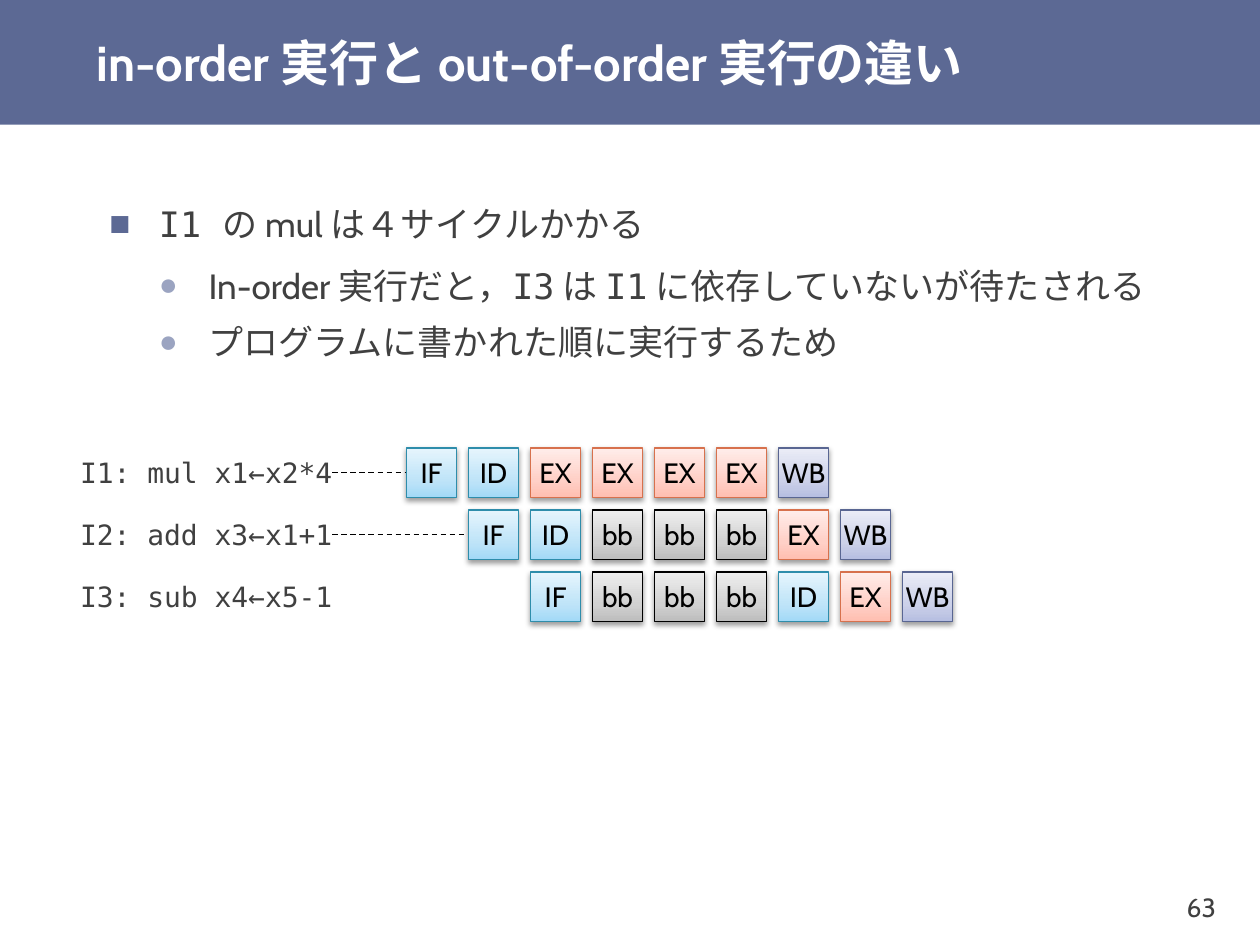
from dataclasses import dataclass

from lxml.etree import SubElement
from pptx import Presentation
from pptx.dml.color import RGBColor
from pptx.enum.dml import MSO_LINE
from pptx.enum.shapes import MSO_CONNECTOR, MSO_SHAPE
from pptx.enum.text import MSO_ANCHOR, PP_ALIGN
from pptx.oxml import parse_xml
from pptx.oxml.ns import nsdecls, qn
from pptx.util import Cm, Inches, Pt


@dataclass(frozen=True)
class Theme:
    sans: str = "Cabin"
    mono: str = "DejaVu Sans Mono"
    band: str = "5C6994"
    dot: str = "9BA4C1"
    ink: str = "404040"
    black: str = "000000"
    white: str = "FFFFFF"
    title: int = 28
    body: int = 20
    stage: int = 16
    number: int = 15


THEME = Theme()
BLUE = ("A2D9F7", "BFE4F8", "E6F5FD", "2E8DAB")
RED = ("FFBEB0", "FFD0C7", "FFEDEA", "D7714D")
VIOLET = ("B6BEE1", "CCD1E9", "EBEDF7", "596692")
GREY = ("BDBDBD", "D1D1D1", "EEEEEE", "000000")
STAGE_COLOURS = {"IF": BLUE, "ID": BLUE, "EX": RED, "WB": VIOLET, "bb": GREY}

PIPELINE = [
    ("I1: mul x1←x2*4", 0, "IF ID EX EX EX EX WB", 0.5),
    ("I2: add x3←x1+1", 1, "IF ID bb bb bb EX WB", 0),
    ("I3: sub x4←x5-1", 2, "IF bb bb bb ID EX WB", None),
]
POINTS = [
    (0, [("I1 ", THEME.mono), ("の mul は４サイクルかかる", THEME.sans)]),
    (1, [("In-order 実行だと，", THEME.sans), ("I3", THEME.mono), (" は ", THEME.sans),
         ("I1", THEME.mono), (" に依存していないが待たされる", THEME.sans)]),
    (1, [("プログラムに書かれた順に実行するため", THEME.sans)]),
]
BULLETS = [("■", THEME.band, 100, 24, 6), ("●", THEME.dot, 90, 3, 3)]


def write(frame, runs, *, size, font=THEME.sans, colour=THEME.ink, bold=False,
          align=PP_ALIGN.LEFT, wrap=True, insets=(0.1, 0.05), more=False):
    frame.word_wrap = wrap
    frame.vertical_anchor = MSO_ANCHOR.MIDDLE
    frame.margin_left = frame.margin_right = Inches(insets[0])
    frame.margin_top = frame.margin_bottom = Inches(insets[1])
    paragraph = frame.add_paragraph() if more else frame.paragraphs[0]
    paragraph.alignment = align
    for words, face in [(runs, font)] if isinstance(runs, str) else runs:
        run = paragraph.add_run()
        run.text = words
        run.font.name = face
        run.font.size = Pt(size)
        run.font.bold = bold
        run.font.color.rgb = RGBColor.from_string(colour)
    return paragraph


def place_heading(slide, left, top, width, height):
    band = slide.shapes.add_shape(MSO_SHAPE.RECTANGLE, left, top, width, height)
    band.shadow.inherit = False
    band.fill.solid()
    band.fill.fore_color.rgb = RGBColor.from_string(THEME.band)
    band.line.fill.background()
    slide.shapes._spTree.insert(2, band._element)
    heading = slide.shapes.title
    indent = width // 15
    heading.left, heading.top = left + indent, top
    heading.width, heading.height = width - indent, height
    write(heading.text_frame, "in-order 実行と out-of-order 実行の違い",
          size=THEME.title, colour=THEME.white, bold=True, insets=(0.1, 0))


def add_bullet(paragraph, level):
    mark, colour, percent, before, after = BULLETS[level]
    paragraph.level = level
    paragraph.line_spacing = 1.1
    paragraph.space_before, paragraph.space_after = Pt(before), Pt(after)
    properties = paragraph._p.get_or_add_pPr()
    properties.set("marL", str(Cm(level + 1)))
    properties.set("indent", str(-Cm(1)))
    tint = SubElement(properties, qn("a:buClr"))
    SubElement(tint, qn("a:srgbClr"), val=colour)
    SubElement(properties, qn("a:buSzPct"), val=str(percent * 1000))
    SubElement(properties, qn("a:buFont"), typeface="Arial")
    SubElement(properties, qn("a:buChar"), char=mark)


def place_points(slide, left, top, width, height):
    frame = slide.shapes.add_textbox(left, top, width, height).text_frame
    for index, (level, runs) in enumerate(POINTS):
        add_bullet(write(frame, runs, size=THEME.body, more=index > 0), level)


def place_stage(slide, name, left, top, side):
    *stops, edge = STAGE_COLOURS[name]
    stage = slide.shapes.add_shape(MSO_SHAPE.RECTANGLE, left, top, side, side)
    stage.line.color.rgb = RGBColor.from_string(edge)
    stage.line.width = Pt(0.75)
    stage.shadow.inherit = False
    properties = stage._element.spPr
    gradient = "".join(f'<a:gs pos="{share * 1000}"><a:srgbClr val="{colour}"/></a:gs>'
                       for share, colour in zip((0, 35, 100), stops))
    properties.insert(2, parse_xml(
        f'<a:gradFill {nsdecls("a")} rotWithShape="1"><a:gsLst>{gradient}</a:gsLst>'
        '<a:lin ang="16200000" scaled="0"/></a:gradFill>'))
    properties.find(qn("a:effectLst")).append(parse_xml(
        f'<a:outerShdw {nsdecls("a")} blurRad="{Pt(3.1)}" dist="{Pt(1.6)}" dir="5400000" '
        f'rotWithShape="0"><a:srgbClr val="{THEME.black}"><a:alpha val="38000"/>'
        '</a:srgbClr></a:outerShdw>'))
    write(stage.text_frame, name, size=THEME.stage, colour=THEME.black,
          align=PP_ALIGN.CENTER, wrap=False)


def place_leader(slide, start, end, middle):
    leader = slide.shapes.add_connector(MSO_CONNECTOR.STRAIGHT, start, middle, end, middle)
    leader.line.color.rgb = RGBColor.from_string(THEME.black)
    leader.line.width = Pt(0.75)
    leader.line.dash_style = MSO_LINE.DASH
    SubElement(leader._element.spPr, qn("a:effectLst"))


def place_pipeline(slide, left, top, pitch):
    side = pitch * 4 // 5
    label_width = pitch * 21 // 5
    first_stage = left + label_width + side * 3 // 2
    for row, (code, delay, stages, overlap) in enumerate(PIPELINE):
        y = top + row * pitch
        start = first_stage + delay * pitch
        if overlap is not None:
            place_leader(slide, left + label_width, start + int(overlap * side), y + side // 2)
        for column, name in enumerate(stages.split()):
            place_stage(slide, name, start + column * pitch, y, side)
        label = slide.shapes.add_textbox(left, y, label_width, side)
        write(label.text_frame, code, size=THEME.stage, font=THEME.mono,
              align=PP_ALIGN.RIGHT, insets=(0, 0))


def place_number(slide, left, top, width, height):
    number = slide.shapes.add_textbox(left, top, width, height)
    write(number.text_frame, "63", size=THEME.number, align=PP_ALIGN.RIGHT,
          insets=(0.07, 0.04))


def main():
    deck = Presentation()
    deck.slide_width, deck.slide_height = Inches(10), Inches(7.5)
    slide = deck.slides.add_slide(deck.slide_layouts[5])
    place_heading(slide, 0, 0, deck.slide_width, Inches(0.99))
    place_points(slide, Inches(0.77), Inches(1.78), Inches(9.06), Inches(0.89))
    place_pipeline(slide, Cm(1.45), Cm(9.03), Cm(1.25))
    place_number(slide, Inches(8.93), Inches(6.9), Inches(0.79), Inches(0.6))
    deck.save("out.pptx")


if __name__ == "__main__":
    main()
